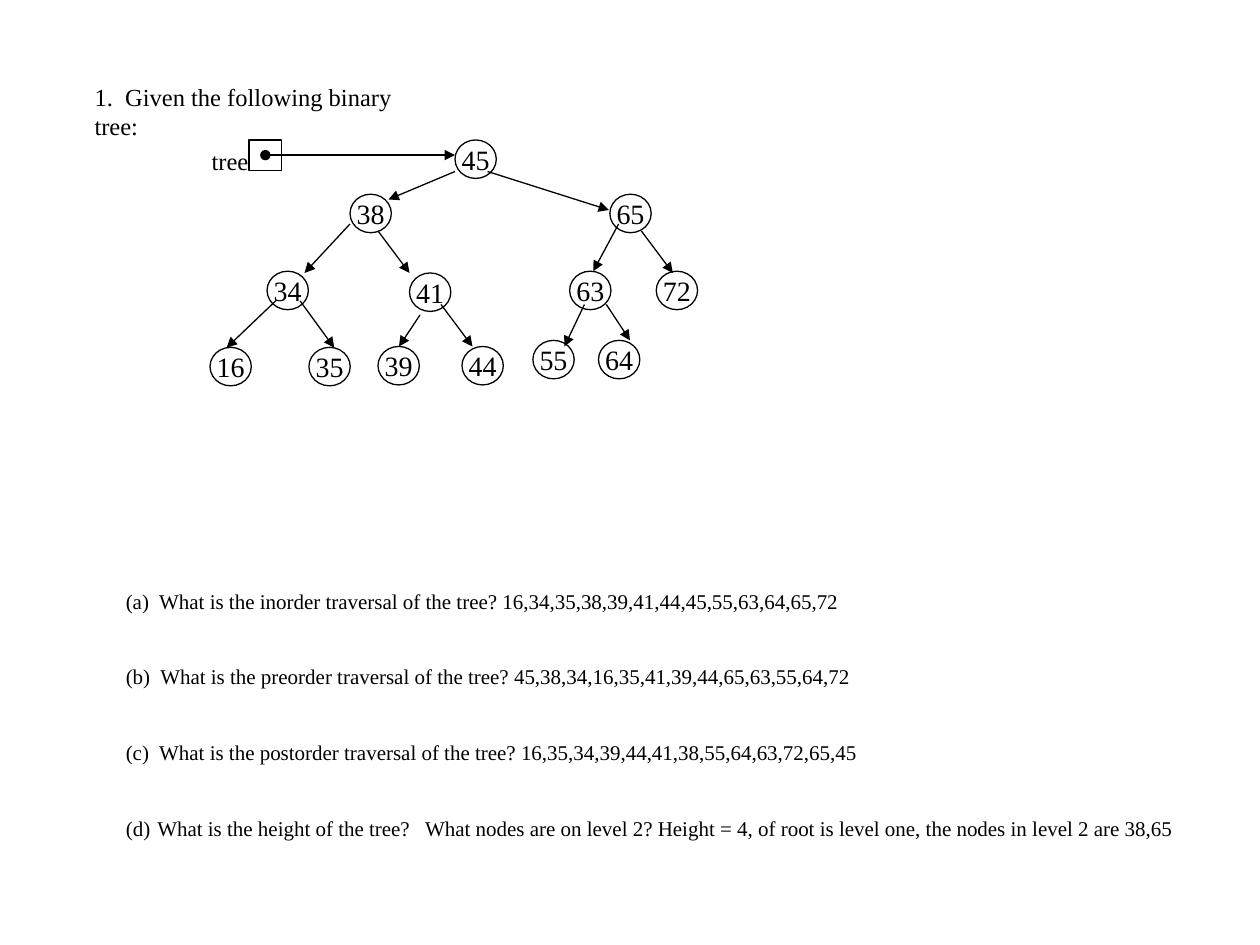
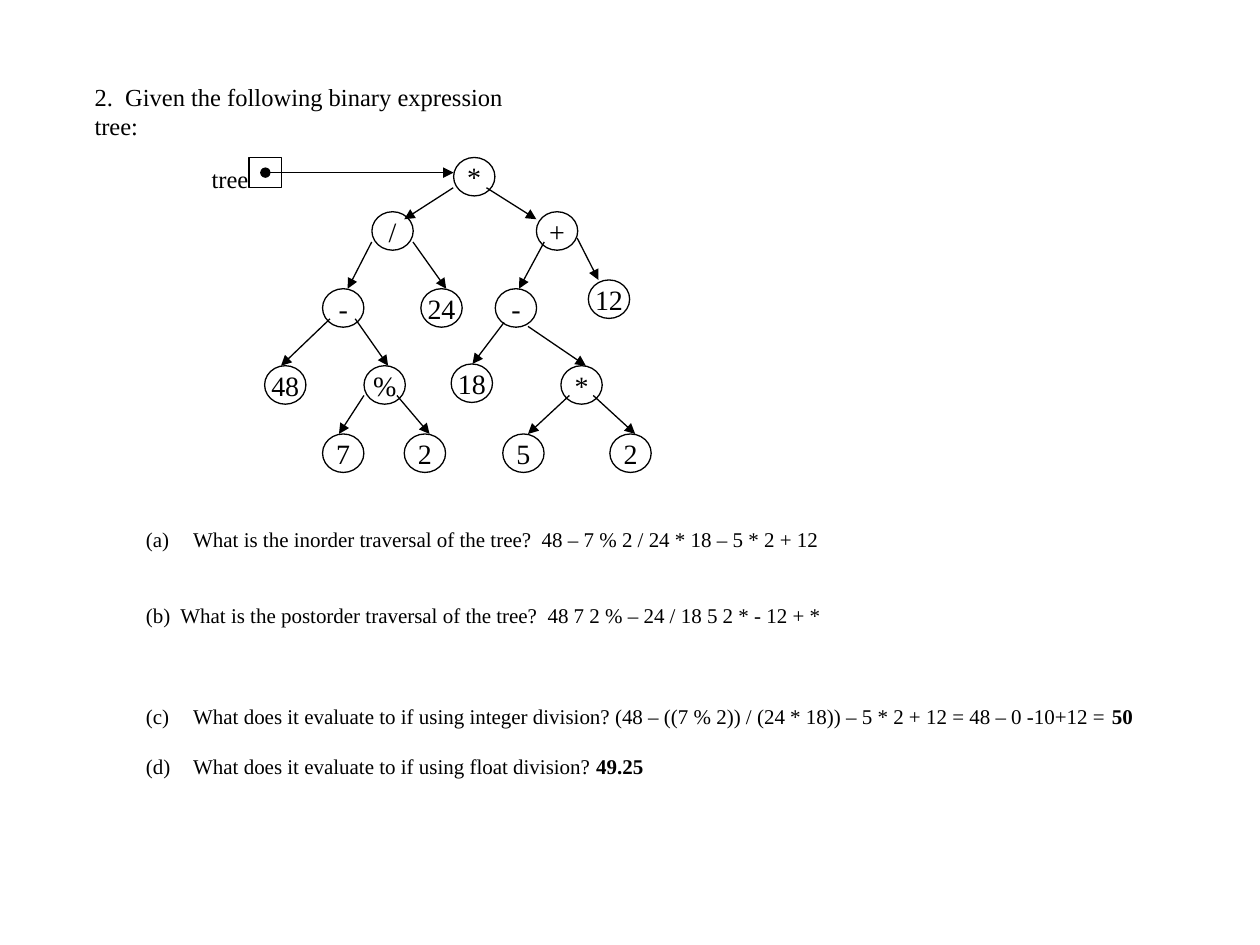
from lxml import etree
from pptx import Presentation
from pptx.dml.color import RGBColor
from pptx.enum.shapes import MSO_CONNECTOR, MSO_SHAPE
from pptx.enum.text import MSO_ANCHOR, MSO_AUTO_SIZE, PP_ALIGN
from pptx.oxml.ns import qn
from pptx.util import Pt

COLORS = {"ink": "000000", "paper": "FFFFFF"}
INK = RGBColor.from_string(COLORS["ink"])
FONT = "Times New Roman"
LINE_WIDTH = Pt(0.75)
NODE_WIDTH, NODE_HEIGHT = 23.6, 22
BOX_LEFT, BOX_WIDTH, BOX_HEIGHT = 142.3, 18.7, 17.3
LABEL_LEFT = 113.8

# Nodes: label, left, top, and the arrow that leads to the node.
# Questions: space before, start number (None if typed), plain text, bold answer.
SLIDES = [
    {
        "title": "1.  Given the following binary tree:",
        "title_width": 210,
        "nodes": [
            ("45", 260, 80, None),
            ("38", 200, 111, (260, 98, 222, 114)),
            ("65", 348.5, 111, (278.6, 98, 348, 120)),
            ("34", 152.6, 155, (200, 128, 174, 156)),
            ("41", 234, 156, (216, 132, 234, 156)),
            ("63", 325.5, 155, (353.5, 128, 339, 155)),
            ("72", 375, 155, (366.5, 132, 384.5, 156)),
            ("16", 120, 198.5, (157.5, 172, 129.5, 198.7)),
            ("35", 176.5, 198.5, (171.5, 172, 191, 198.7)),
            ("39", 216, 198, (240, 180, 228, 198)),
            ("44", 264, 198, (252, 174, 270, 198)),
            ("55", 304.5, 194.5, (334, 174, 322.5, 198)),
            ("64", 342, 194.5, (346.5, 174, 360, 194.5)),
        ],
        "questions_at": (64.8, 332.6, 624, 167),
        "hanging": 18,
        "questions": [
            (0, None, "(a)  What is the inorder traversal of the tree? "
             "16,34,35,38,39,41,44,45,55,63,64,65,72", ""),
            (28.8, None, "(b)  What is the preorder traversal of the tree? "
             "45,38,34,16,35,41,39,44,65,63,55,64,72", ""),
            (28.8, None, "(c)  What is the postorder traversal of the tree? "
             "16,35,34,39,44,41,38,55,64,63,72,65,45", ""),
            (28.8, 4, "What is the height of the tree?   What nodes are on level 2? "
             "Height = 4, of root is level one, the nodes in level 2 are 38,65", ""),
        ],
    },
    {
        "title": "2.  Given the following binary expression tree:",
        "title_width": 272,
        "nodes": [
            ("*", 259.2, 90, None),
            ("/", 212.5, 121, (259, 107.3, 231, 125.3)),
            ("+", 306.5, 121, (278, 107.3, 306.5, 125.3)),
            ("-", 184.3, 165, (212.4, 138.3, 198.7, 165)),
            ("24", 240.5, 165, (236, 138.3, 255, 165)),
            ("-", 283, 165, (311, 138.3, 296.6, 165)),
            ("12", 336.2, 160, (329.8, 136, 342, 160)),
            ("48", 151.2, 209, (188.6, 182.2, 160.6, 209)),
            ("%", 208, 209, (203, 182.2, 221.8, 209)),
            ("18", 257.8, 208, (288, 184.3, 270, 208)),
            ("*", 320.5, 209, (301.7, 186.5, 334.8, 209)),
            ("7", 184.3, 248, (208, 226, 193.7, 248)),
            ("2", 231, 248, (226.8, 226, 245.5, 248)),
            ("5", 287.3, 248, (325.4, 226, 301.7, 248)),
            ("2", 348.5, 248, (339, 226, 363, 248)),
        ],
        "questions_at": (76.3, 297.4, 590, 196),
        "hanging": 27,
        "questions": [
            (0, 1, "What is the inorder traversal of the tree?  "
             "48 – 7 % 2 / 24 * 18 – 5 * 2 + 12", ""),
            (28.8, None, "(b)  What is the postorder traversal of the tree?  "
             "48 7 2 % – 24 / 18 5 2 * - 12 + *", ""),
            (43.2, 3, "What does it evaluate to if using integer division? "
             "(48 – ((7 % 2)) / (24 * 18)) – 5 * 2 + 12 = 48 – 0 -10+12 = ", "50"),
            (14.4, 4, "What does it evaluate to if using float division? ", "49.25"),
        ],
    },
]


def style_text(paragraph, size, alignment=PP_ALIGN.LEFT):
    """Give every run of a paragraph the shared font and colour."""
    paragraph.alignment = alignment
    for run in paragraph.runs:
        run.font.name = FONT
        run.font.size = Pt(size)
        run.font.color.rgb = INK


def add_arrow(slide, ends, head=None):
    """Draw a thin arrow between two points, with an optional mark at its start."""
    arrow = slide.shapes.add_connector(MSO_CONNECTOR.STRAIGHT, *[Pt(end) for end in ends])
    arrow.line.color.rgb = INK
    arrow.line.width = LINE_WIDTH
    line = arrow.line._get_or_add_ln()
    if head:
        etree.SubElement(line, qn("a:headEnd"), type=head)
    etree.SubElement(line, qn("a:tailEnd"), type="triangle")
    etree.SubElement(arrow._element.spPr, qn("a:effectLst"))


presentation = Presentation()
presentation.slide_width, presentation.slide_height = Pt(720), Pt(540)

for content in SLIDES:
    slide = presentation.slides.add_slide(presentation.slide_layouts[5])
    slide.background.fill.solid()
    slide.background.fill.fore_color.rgb = RGBColor.from_string(COLORS["paper"])

    title = slide.shapes.title
    title.left, title.top = Pt(46.8), Pt(43.2)
    title.width, title.height = Pt(content["title_width"]), Pt(40)
    title.text_frame.text = content["title"]
    title.text_frame.word_wrap = True
    title.text_frame.auto_size = MSO_AUTO_SIZE.NONE
    title.text_frame.vertical_anchor = MSO_ANCHOR.TOP
    style_text(title.text_frame.paragraphs[0], 14)

    # Questions and answers
    text_box = slide.shapes.add_textbox(*[Pt(value) for value in content["questions_at"]])
    text_frame = text_box.text_frame
    text_frame.word_wrap = True
    for index, (space, number, question, answer) in enumerate(content["questions"]):
        paragraph = text_frame.add_paragraph() if index else text_frame.paragraphs[0]
        paragraph.text = question
        if answer:
            run = paragraph.add_run()
            run.text = answer
            run.font.bold = True
        style_text(paragraph, 12)
        paragraph.space_before = Pt(space)
        if number:
            properties = paragraph._p.get_or_add_pPr()
            properties.set("marL", str(Pt(content["hanging"])))
            properties.set("indent", str(-Pt(content["hanging"])))
            etree.SubElement(properties, qn("a:buAutoNum"),
                             type="alphaLcParenBoth", startAt=str(number))

    # Tree nodes and the arrows between them
    for label, left, top, ends in content["nodes"]:
        node = slide.shapes.add_shape(
            MSO_SHAPE.OVAL, Pt(left), Pt(top), Pt(NODE_WIDTH), Pt(NODE_HEIGHT))
        node.shadow.inherit = False
        node.fill.background()
        node.line.color.rgb = INK
        node.line.width = LINE_WIDTH
        text_frame = node.text_frame
        text_frame.text = label
        text_frame.word_wrap = False
        text_frame.vertical_anchor = MSO_ANCHOR.MIDDLE
        text_frame.margin_left = text_frame.margin_right = 0
        text_frame.margin_top = text_frame.margin_bottom = 0
        style_text(text_frame.paragraphs[0], 16, PP_ALIGN.CENTER)
        if ends:
            add_arrow(slide, ends)

    # Pointer to the root
    root_left, root_top = content["nodes"][0][1:3]
    box = slide.shapes.add_shape(
        MSO_SHAPE.RECTANGLE, Pt(BOX_LEFT), Pt(root_top), Pt(BOX_WIDTH), Pt(BOX_HEIGHT))
    box.shadow.inherit = False
    box.fill.background()
    box.line.color.rgb = INK
    box.line.width = LINE_WIDTH
    pointer_y = root_top + BOX_HEIGHT / 2
    add_arrow(slide, (BOX_LEFT + BOX_WIDTH / 2, pointer_y, root_left, pointer_y), "oval")

    label_box = slide.shapes.add_textbox(Pt(LABEL_LEFT), Pt(root_top), Pt(35.3), Pt(24))
    label_box.text_frame.text = "tree"
    label_box.text_frame.word_wrap = False
    style_text(label_box.text_frame.paragraphs[0], 14)

presentation.save("out.pptx")
